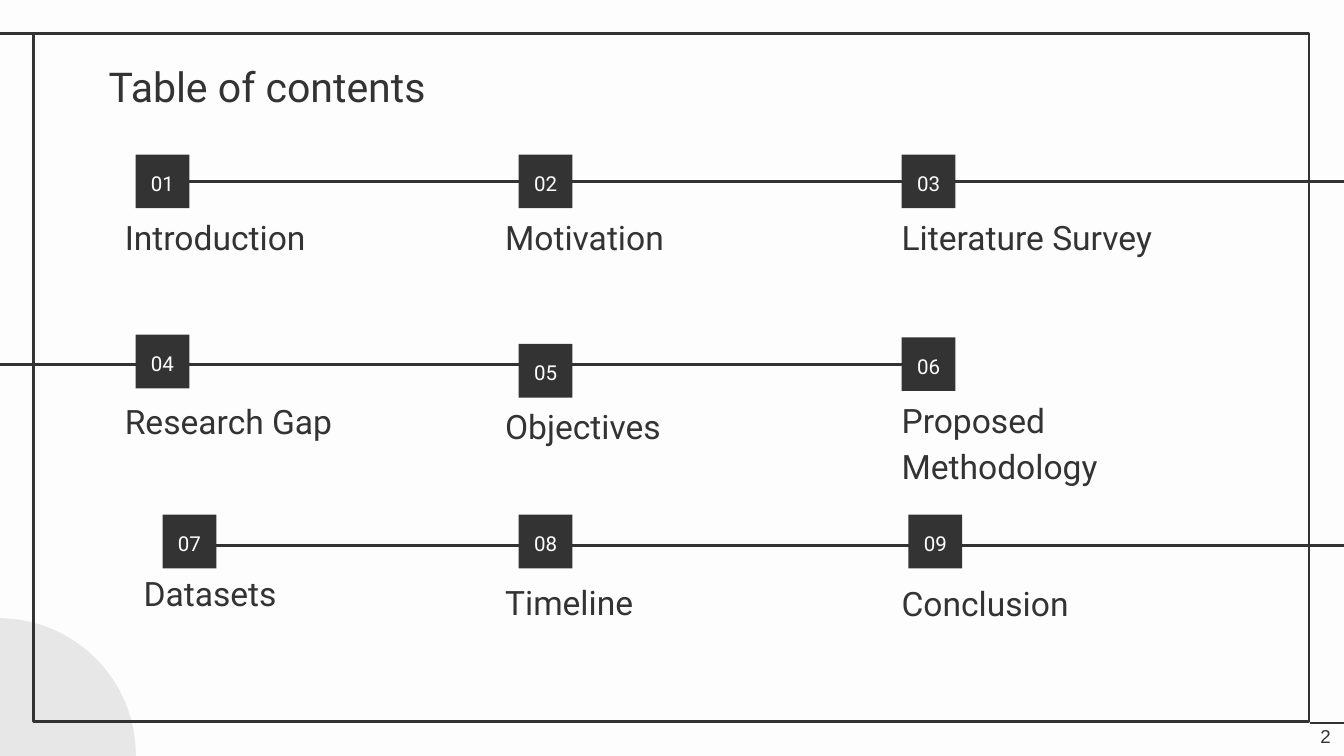
from pptx import Presentation
from pptx.dml.color import RGBColor
from pptx.enum.shapes import MSO_CONNECTOR, MSO_SHAPE
from pptx.enum.text import MSO_ANCHOR, PP_ALIGN
from pptx.oxml.ns import qn
from pptx.util import Inches, Pt
from lxml.etree import SubElement

DARK = RGBColor(0x33, 0x33, 0x33)
LIGHT = RGBColor(0xFD, 0xFD, 0xFD)
GRAY = RGBColor(0xE8, 0xE7, 0xE7)

TITLE = "Table of contents"
PAGE_NUMBER = "2"
BADGE_SIZE = 0.4
LABEL_COLUMNS = (0.83, 3.66, 6.61)

# Topic, badge (left, top), label (top, height)
TOPICS = [
    ("Introduction", (1.01, 1.15), (1.59, 0.42)),
    ("Motivation", (3.86, 1.15), (1.59, 0.42)),
    ("Literature Survey", (6.71, 1.15), (1.59, 0.42)),
    ("Research Gap", (1.01, 2.49), (2.96, 0.42)),
    ("Objectives", (3.86, 2.56), (3.0, 0.42)),
    ("Proposed Methodology", (6.71, 2.51), (2.96, 0.76)),
    ("Datasets", (1.21, 3.83), (4.23, 0.43)),
    ("Timeline", (3.86, 3.83), (4.33, 0.4)),
    ("Conclusion", (6.76, 3.83), (4.32, 0.42)),
]
# Topics whose label leaves the column: left, width
LABEL_EXCEPTIONS = {"Datasets": (0.97, 1.27)}

# Horizontal lines: start x, end x, y
FRAME_TAILS = [(0.26, -0.02, 0.25), (10.03, 9.75, 5.38)]
ROW_LINES = [(1.41, 10.17, 1.35), (6.76, -0.13, 2.71), (1.54, 10.3, 4.06)]


def add_line(slide, start, end, y):
    line = slide.shapes.add_connector(
        MSO_CONNECTOR.STRAIGHT, Inches(start), Inches(y), Inches(end), Inches(y))
    line.line.color.rgb = DARK
    line.line.width = Pt(1.5)
    SubElement(line._element.spPr, qn("a:effectLst"))
    return line


def add_shape(slide, kind, box, fill=None):
    """Add a shape, filled without outline or outlined without fill."""
    shape = slide.shapes.add_shape(kind, *map(Inches, box))
    shape.shadow.inherit = False
    if fill is None:
        shape.fill.background()
        shape.line.color.rgb = DARK
        shape.line.width = Pt(1.5)
    else:
        shape.fill.solid()
        shape.fill.fore_color.rgb = fill
        shape.line.fill.background()
    return shape


def set_text(shape, text, size, color=DARK, font="Roboto", align=PP_ALIGN.LEFT,
             anchor=MSO_ANCHOR.TOP, spacing=None):
    frame = shape.text_frame
    frame.text = text
    frame.word_wrap = True
    frame.vertical_anchor = anchor
    frame.margin_left = frame.margin_right = Inches(0.1)
    frame.margin_top = frame.margin_bottom = Inches(0.1)
    paragraph = frame.paragraphs[0]
    paragraph.alignment = align
    paragraph.line_spacing = spacing
    run_font = paragraph.runs[0].font
    run_font.name = font
    run_font.size = Pt(size)
    run_font.color.rgb = color


def add_text(slide, box, text, size, **style):
    set_text(slide.shapes.add_textbox(*map(Inches, box)), text, size, **style)


def main():
    presentation = Presentation()
    presentation.slide_width = Inches(10)
    presentation.slide_height = Inches(10) * 9 // 16
    slide = presentation.slides.add_slide(presentation.slide_layouts[6])
    slide.background.fill.solid()
    slide.background.fill.fore_color.rgb = LIGHT

    add_shape(slide, MSO_SHAPE.OVAL, (-1.03, 4.6, 2.04, 2.04), GRAY)
    add_shape(slide, MSO_SHAPE.RECTANGLE, (0.25, 0.25, 9.49, 5.12))
    for tail in FRAME_TAILS:
        add_line(slide, *tail)
    row_lines = [add_line(slide, *row) for row in ROW_LINES]

    add_text(slide, (0.71, 0.36, 8.43, 0.63), TITLE, 22)

    badges = []
    for index, (topic, badge_position, (top, height)) in enumerate(TOPICS):
        badge = add_shape(slide, MSO_SHAPE.RECTANGLE,
                          (*badge_position, BADGE_SIZE, BADGE_SIZE), DARK)
        set_text(badge, f"{index + 1:02}", 11, color=LIGHT, spacing=1.15,
                 align=PP_ALIGN.CENTER, anchor=MSO_ANCHOR.MIDDLE)
        badges.append(badge)
        column = LABEL_COLUMNS[index % len(LABEL_COLUMNS)]
        left, width = LABEL_EXCEPTIONS.get(topic, (column, 2.52))
        add_text(slide, (left, top, width, height), topic, 18,
                 anchor=MSO_ANCHOR.BOTTOM, spacing=1.15)
    row_lines[0].begin_connect(badges[0], 3)

    add_text(slide, (9.4, 5.31, 0.6, 0.43), PAGE_NUMBER, 10,
             font="Arial", align=PP_ALIGN.RIGHT)
    presentation.save("out.pptx")


if __name__ == "__main__":
    main()
